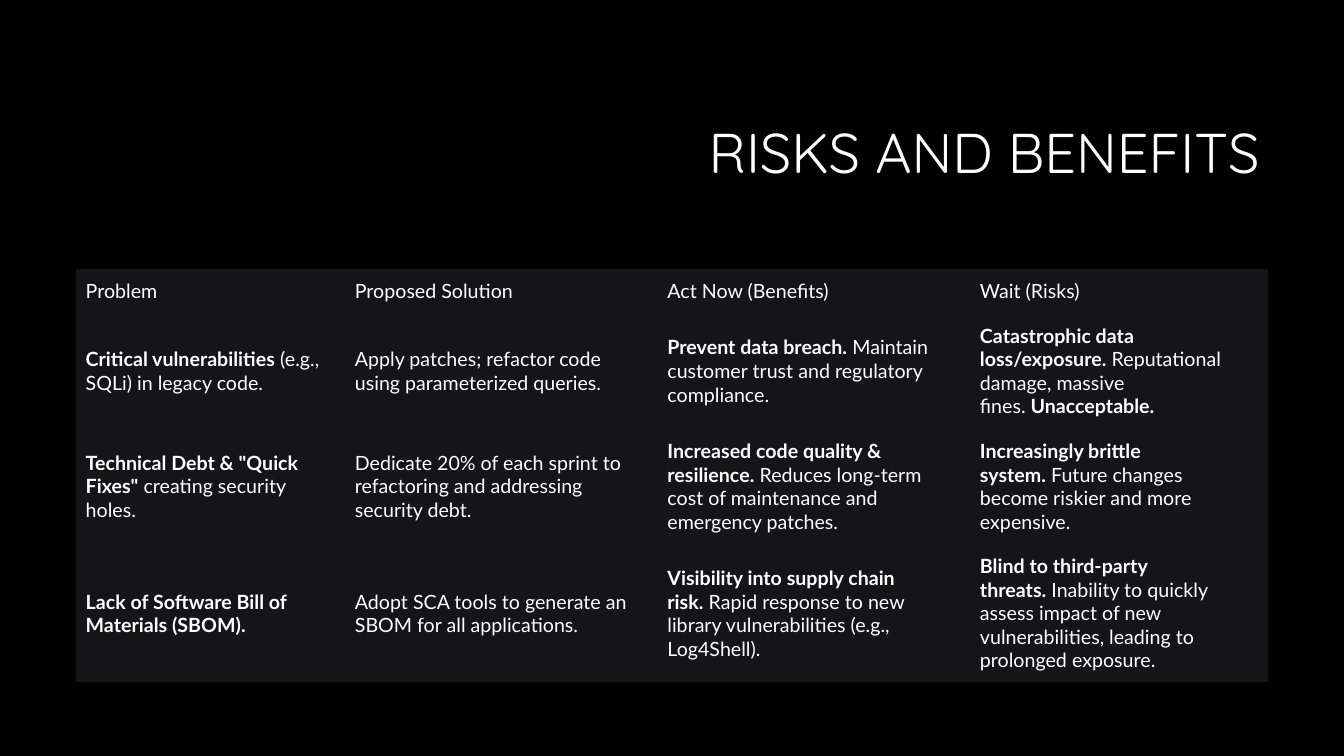
"""Build the Risks and Benefits slide: a right-aligned title above a dark table."""
import pptx
import pptx.dml.color
import pptx.enum.text
import pptx.oxml.ns
import pptx.util

Inches = pptx.util.Inches
Pt = pptx.util.Pt
MIDDLE = pptx.enum.text.MSO_ANCHOR.MIDDLE
COLORS = {"background": "000000", "cell": "151517", "text": "FFFFFF"}
NO_GRID_STYLE = "{2D5ABB26-0587-4C30-8999-92F81FD0307C}"
NBSP = chr(160)

COL_WIDTHS = [2.6, 3.1, 3.1, 3.03]
ROW_HEIGHTS = [0.44, 1.14, 1.15, 1.37]
# Each cell alternates bold and regular text, starting with bold.
ROWS = [
    [["", "Problem"], ["", "Proposed Solution"],
     ["", "Act Now (Benefits)"], ["", "Wait (Risks)"]],
    [["Critical vulnerabilities", "(e.g., SQLi) in legacy code."],
     ["", "Apply patches; refactor code using parameterized queries."],
     ["Prevent data breach.", "Maintain customer trust and regulatory compliance."],
     ["Catastrophic data loss/exposure.", "Reputational damage, massive fines.",
      "Unacceptable."]],
    [["Technical Debt & \"Quick Fixes\"", "creating security holes."],
     ["", "Dedicate 20% of each sprint to refactoring and addressing security debt."],
     ["Increased code quality & resilience.",
      "Reduces long-term cost of maintenance and emergency patches."],
     ["Increasingly brittle system.",
      "Future changes become riskier and more expensive."]],
    [["Lack of Software Bill of Materials (SBOM)."],
     ["", "Adopt SCA tools to generate an SBOM for all applications."],
     ["Visibility into supply chain risk.",
      "Rapid response to new library vulnerabilities (e.g., Log4Shell)."],
     ["Blind to third-party threats.",
      "Inability to quickly assess impact of new vulnerabilities, "
      "leading to prolonged exposure."]],
]


def rgb(name):
    return pptx.dml.color.RGBColor.from_string(COLORS[name])


def add_run(p, text, font, size, bold=False):
    r = p.add_run()
    r.text = text
    r.font.name = font
    r.font.size = Pt(size)
    r.font.bold = bold
    r.font.color.rgb = rgb("text")


prs = pptx.Presentation()
prs.slide_width = Inches(13.33)
prs.slide_height = Inches(7.5)
s = prs.slides.add_slide(prs.slide_layouts[6])
s.background.fill.solid()
s.background.fill.fore_color.rgb = rgb("background")

title = s.shapes.add_textbox(Inches(3.17), Inches(0.84), Inches(9.42), Inches(1.41))
tf = title.text_frame
tf.word_wrap = True
tf.vertical_anchor = MIDDLE
p = tf.paragraphs[0]
p.alignment = pptx.enum.text.PP_ALIGN.RIGHT
p.line_spacing = 0.9
add_run(p, "RISKS AND BENEFITS", "Quicksand", 40)

frame = s.shapes.add_table(len(ROWS), len(COL_WIDTHS), Inches(0.75), Inches(2.67),
                           Inches(sum(COL_WIDTHS)), Inches(sum(ROW_HEIGHTS)))
table = frame.table
table.first_row = False
table.horz_banding = False
style = frame._element.find(".//" + pptx.oxml.ns.qn("a:tableStyleId"))
style.text = NO_GRID_STYLE
for col, width in zip(table.columns, COL_WIDTHS):
    col.width = Inches(width)

for i, (row, height) in enumerate(zip(ROWS, ROW_HEIGHTS)):
    table.rows[i].height = Inches(height)
    for j, parts in enumerate(row):
        cell = table.cell(i, j)
        cell.fill.solid()
        cell.fill.fore_color.rgb = rgb("cell")
        cell.vertical_anchor = MIDDLE
        cell.margin_left = Inches(0.17 if j else 0.1)
        cell.margin_right = Inches(0.17)
        cell.margin_top = cell.margin_bottom = Inches(0.1)
        p = cell.text_frame.paragraphs[0]
        for k, text in enumerate(parts):
            if text:
                gap = NBSP if k and parts[k - 1] else ""
                add_run(p, gap + text, "Lato", 14, bold=k % 2 == 0)

prs.save("out.pptx")
